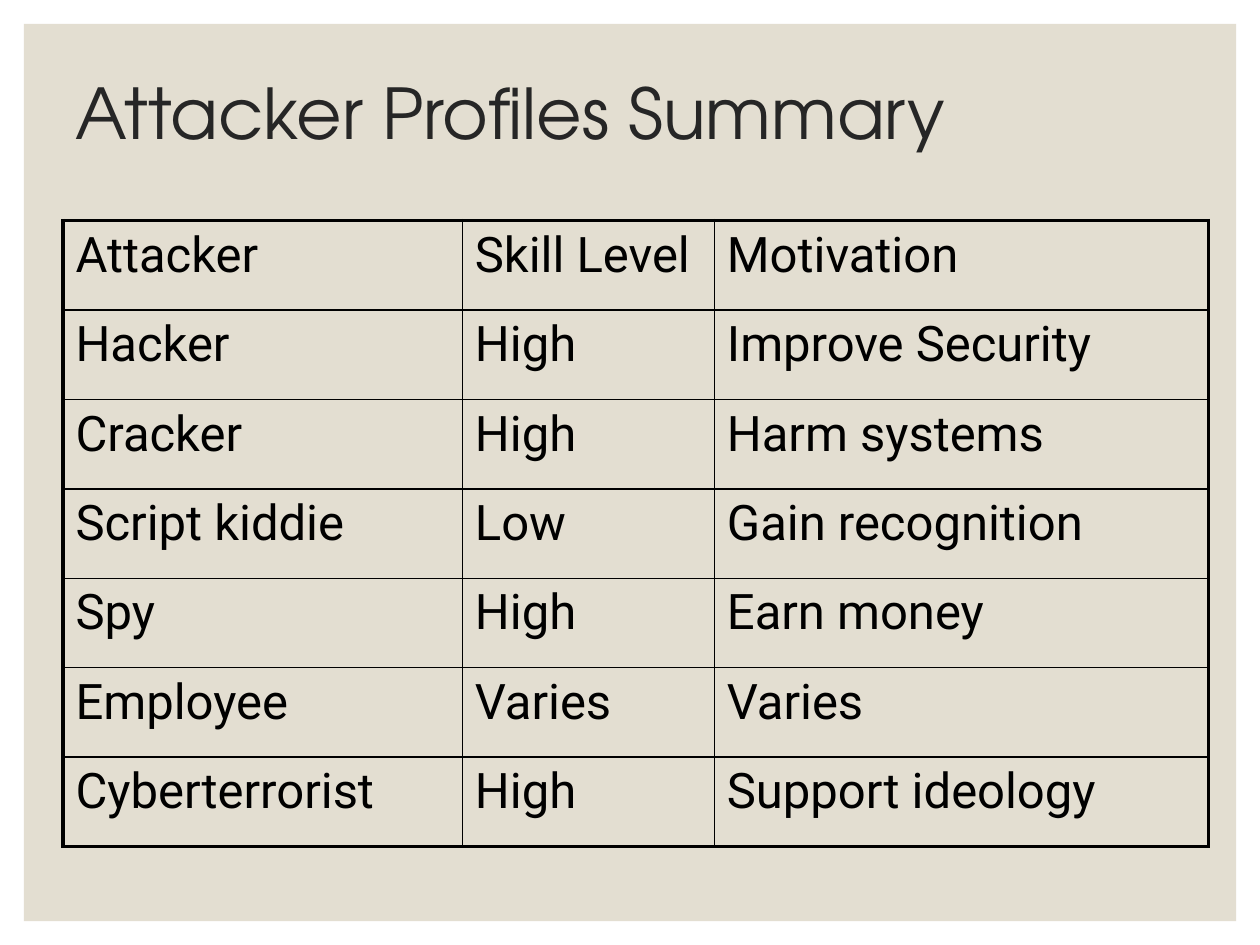
from dataclasses import dataclass

from lxml import etree
from pptx import Presentation
from pptx.dml.color import RGBColor
from pptx.enum.shapes import MSO_SHAPE
from pptx.enum.text import MSO_ANCHOR
from pptx.oxml.ns import qn
from pptx.util import Inches, Pt

RECTANGLE = MSO_SHAPE.RECTANGLE
TOP = MSO_ANCHOR.TOP
MIDDLE = MSO_ANCHOR.MIDDLE
BLANK_LAYOUT = 6


@dataclass(frozen=True)
class Theme:
    page: str = "FFFFFF"
    panel: str = "E3DED1"
    title_color: str = "262626"
    ink: str = "000000"
    title_font: str = "TeX Gyre Adventor"
    body_font: str = "Roboto"
    title_size: float = 40
    body_size: float = 28
    outer_line: float = 2.25
    inner_line: float = 1


THEME = Theme()
SLIDE_WIDTH, SLIDE_HEIGHT = 10, 7.5
PANEL_MARGIN = 0.19
LEFT = 0.5
TABLE_TOP = 1.75
COLUMN_WIDTHS = (3.17, 2, 3.92)
ROW_HEIGHT = 0.71

PROFILES = (
    ("Attacker", "Skill Level", "Motivation"),
    ("Hacker", "High", "Improve Security"),
    ("Cracker", "High", "Harm systems"),
    ("Script kiddie", "Low", "Gain recognition"),
    ("Spy", "High", "Earn money"),
    ("Employee", "Varies", "Varies"),
    ("Cyberterrorist", "High", "Support ideology"),
)


def write_text(frame, text, *, font, size, color, line_spacing=None):
    para = frame.paragraphs[0]
    para.line_spacing = line_spacing
    span = para.add_run()
    span.text = text
    span.font.name = font
    span.font.size = Pt(size)
    span.font.color.rgb = RGBColor.from_string(color)


def add_panel(page):
    panel = page.shapes.add_shape(
        RECTANGLE,
        Inches(PANEL_MARGIN),
        Inches(PANEL_MARGIN),
        Inches(SLIDE_WIDTH - 2 * PANEL_MARGIN),
        Inches(SLIDE_HEIGHT - 2 * PANEL_MARGIN),
    )
    panel.shadow.inherit = False
    panel.fill.solid()
    panel.fill.fore_color.rgb = RGBColor.from_string(THEME.panel)
    panel.line.fill.background()


def add_title(page, text):
    box = page.shapes.add_textbox(
        Inches(LEFT), Inches(0.3), Inches(SLIDE_WIDTH - 2 * LEFT), Inches(1.25)
    )
    frame = box.text_frame
    frame.word_wrap = True
    frame.vertical_anchor = MIDDLE
    write_text(frame, text, font=THEME.title_font, size=THEME.title_size,
               color=THEME.title_color, line_spacing=0.9)


def set_borders(cell, outer_sides):
    """Draw all four sides, heavier where the side lies on the table's edge."""
    properties = cell._tc.get_or_add_tcPr()
    for index, (side, is_outer) in enumerate(outer_sides.items()):
        width = THEME.outer_line if is_outer else THEME.inner_line
        line = etree.Element(qn(f"a:ln{side}"), w=str(Pt(width)))
        fill = etree.SubElement(line, qn("a:solidFill"))
        etree.SubElement(fill, qn("a:srgbClr"), val=THEME.ink)
        properties.insert(index, line)


def add_table(page, rows):
    last_row, last_column = len(rows) - 1, len(COLUMN_WIDTHS) - 1
    table = page.shapes.add_table(
        len(rows), len(COLUMN_WIDTHS), Inches(LEFT), Inches(TABLE_TOP),
        Inches(sum(COLUMN_WIDTHS)), Inches(ROW_HEIGHT * len(rows)),
    ).table
    table.first_row = False
    table.horz_banding = False
    for column, width in zip(table.columns, COLUMN_WIDTHS):
        column.width = Inches(width)
    for r, texts in enumerate(rows):
        table.rows[r].height = Inches(ROW_HEIGHT)
        for c, text in enumerate(texts):
            cell = table.cell(r, c)
            cell.fill.background()
            cell.vertical_anchor = TOP
            write_text(cell.text_frame, text, font=THEME.body_font,
                       size=THEME.body_size, color=THEME.ink)
            set_borders(cell, {"L": c == 0, "R": c == last_column,
                               "T": r == 0, "B": r == last_row})


def main():
    deck = Presentation()
    deck.slide_width = Inches(SLIDE_WIDTH)
    deck.slide_height = Inches(SLIDE_HEIGHT)
    page = deck.slides.add_slide(deck.slide_layouts[BLANK_LAYOUT])
    page.background.fill.solid()
    page.background.fill.fore_color.rgb = RGBColor.from_string(THEME.page)
    add_panel(page)
    add_title(page, "Attacker Profiles Summary")
    add_table(page, PROFILES)
    deck.save("out.pptx")


if __name__ == "__main__":
    main()
